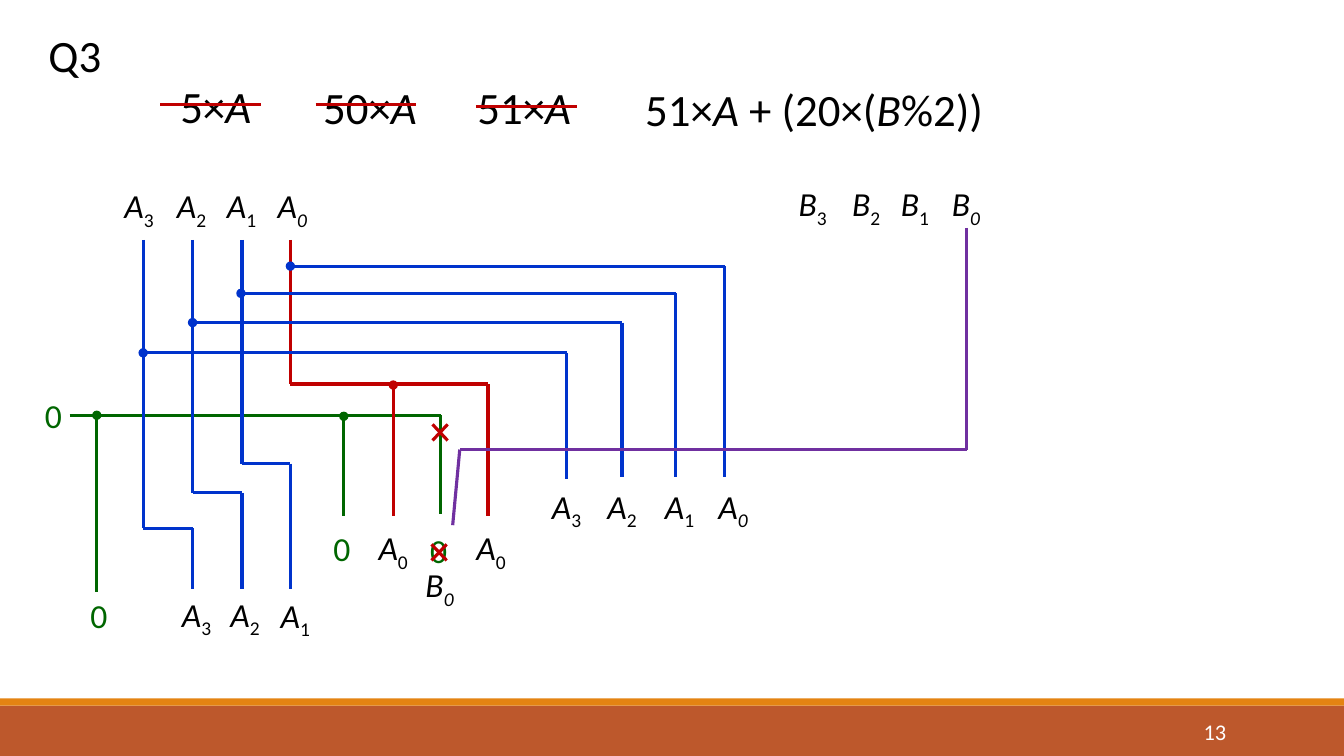
from itertools import pairwise
from lxml import etree
from pptx import Presentation
from pptx.dml.color import RGBColor
from pptx.enum.shapes import MSO_CONNECTOR, MSO_SHAPE
from pptx.enum.text import MSO_ANCHOR, PP_ALIGN
from pptx.oxml.ns import qn
from pptx.util import Inches, Pt

STRAIGHT = MSO_CONNECTOR.STRAIGHT
RECTANGLE = MSO_SHAPE.RECTANGLE
MIDDLE = MSO_ANCHOR.MIDDLE
LEFT, CENTER, RIGHT = PP_ALIGN.LEFT, PP_ALIGN.CENTER, PP_ALIGN.RIGHT

BLACK = RGBColor(0x00, 0x00, 0x00)
WHITE = RGBColor(0xFF, 0xFF, 0xFF)
GREEN = RGBColor(0x00, 0x66, 0x00)
RED = RGBColor(0xC0, 0x00, 0x00)
BLUE = RGBColor(0x00, 0x33, 0xCC)
PURPLE = RGBColor(0x70, 0x30, 0xA0)
RUST = RGBColor(0xBD, 0x58, 0x2C)
ORANGE = RGBColor(0xE4, 0x83, 0x12)
FONT = "Calibri"

presentation = Presentation()
presentation.slide_width = Inches(13.33)
presentation.slide_height = Inches(7.5)
slide = presentation.slides.add_slide(presentation.slide_layouts[5])


def add_label(left, top, width, runs, size=24, color=BLACK, align=CENTER):
    """Add a one-line label; each run is (text, italic, subscript)."""
    height = 0.64 if size == 32 else 0.5
    box = slide.shapes.add_textbox(Inches(left), Inches(top), Inches(width), Inches(height))
    box.text_frame.word_wrap = True
    paragraph = box.text_frame.paragraphs[0]
    paragraph.alignment = align
    for text, italic, subscript in runs:
        run = paragraph.add_run()
        run.text = text
        run.font.name = FONT
        run.font.size = Pt(size)
        run.font.italic = italic
        run.font.color.rgb = color
        if subscript:
            run.font._element.set("baseline", "-25000")
    return box


def add_wire(color, *points, dot=False):
    """Join the points with straight lines, with an optional dot at the first."""
    for index, (start, end) in enumerate(pairwise(points)):
        wire = slide.shapes.add_connector(STRAIGHT, *map(Inches, start + end))
        wire.line.color.rgb = color
        wire.line.width = Pt(2.25)
        if dot and index == 0:
            etree.SubElement(wire.line._get_or_add_ln(), qn("a:headEnd"), type="oval")
        etree.SubElement(wire._element.spPr, qn("a:effectLst"))


# Footer bands and page number
for top, height, color in [(7, 0.5, RUST), (6.93, 0.07, ORANGE)]:
    band = slide.shapes.add_shape(RECTANGLE, 0, Inches(top), Inches(13.33), Inches(height))
    band.shadow.inherit = False
    band.fill.solid()
    band.fill.fore_color.rgb = color
    band.line.fill.background()
page_number = add_label(10.83, 7.06, 1.43, [("13", False, False)], 16, WHITE, RIGHT)
page_number.height = Inches(0.4)
page_number.text_frame.vertical_anchor = MIDDLE

# Title
title = slide.shapes.title
title.left, title.top = Inches(0.38), Inches(0.26)
title.width, title.height = Inches(0.99), Inches(0.63)
title.text_frame.text = "Q3"
title.text_frame.vertical_anchor = MIDDLE
paragraph = title.text_frame.paragraphs[0]
paragraph.alignment = LEFT
paragraph.line_spacing = 0.9
paragraph.runs[0].font.name = FONT
paragraph.runs[0].font.size = Pt(32)
paragraph.runs[0].font.color.rgb = BLACK

# Crossed-out formulas, then the final one
for factor, left, top, strike_left, strike_top in [
    ("5×", 1.4, 0.73, 1.59, 1.04),
    ("50×", 2.93, 0.74, 3.13, 1.04),
    ("51×", 4.46, 0.74, 4.72, 1.06),
]:
    add_label(left, top, 1.48, [(factor, False, False), ("A", True, False)], 32)
    add_wire(RED, (strike_left, strike_top), (strike_left + 1, strike_top))
final_formula = ["51×", "A ", "+ (20×(", "B", "%2)) "]
add_label(6.05, 0.76, 4.15,
          [(text, text.strip() in ("A", "B"), False) for text in final_formula], 32)

# Bit labels: letter, digit, left, top, width, italic digit
for letter, digit, left, top, width, italic_digit in [
    ("A", "3", 1.07, 1.79, 0.62, False),
    ("A", "2", 1.59, 1.79, 0.62, False),
    ("A", "1", 2.05, 1.79, 0.69, False),
    ("A", "0", 2.58, 1.79, 0.64, True),
    ("B", "3", 7.75, 1.77, 0.62, False),
    ("B", "2", 8.28, 1.77, 0.62, False),
    ("B", "1", 8.73, 1.77, 0.69, False),
    ("B", "0", 9.26, 1.77, 0.64, True),
    ("A", "3", 1.62, 5.84, 0.66, False),
    ("A", "2", 2.1, 5.84, 0.66, False),
    ("A", "1", 2.6, 5.85, 0.66, False),
    ("A", "0", 3.57, 5.18, 0.66, False),
    ("A", "0", 4.54, 5.18, 0.66, False),
    ("A", "3", 5.36, 4.77, 0.52, False),
    ("A", "2", 5.91, 4.77, 0.52, False),
    ("A", "1", 6.48, 4.77, 0.52, False),
    ("A", "0", 7.01, 4.77, 0.52, True),
    ("B", "0", 4.04, 5.55, 0.64, True),
]:
    add_label(left, top, width, [(letter, True, False), (digit, italic_digit, True)])

# Constant zeros
for left, top in [(0.27, 3.87), (0.72, 5.85), (3.13, 5.19), (4.09, 5.21)]:
    add_label(left, top, 0.52, [("0", False, False)], color=GREEN)

# Green wires carry zero
add_wire(GREEN, (0.69, 4.12), (4.37, 4.12), (4.37, 5.1))
add_wire(GREEN, (0.96, 4.12), (0.96, 5.87), dot=True)
add_wire(GREEN, (3.41, 4.13), (3.41, 5.12), dot=True)

# Red wires carry A0
add_wire(RED, (2.88, 2.38), (2.88, 3.81), (4.84, 3.81), (4.84, 5.12))
add_wire(RED, (3.9, 3.82), (3.9, 5.12), dot=True)

# Blue wires step A3, A2 and A1 one place to the right
for left, right, step in [(1.42, 1.91, 5.24), (1.91, 2.4, 4.89), (2.4, 2.88, 4.6)]:
    add_wire(BLUE, (left, 2.38), (left, step), (right, step), (right, 5.84))

# Blue branches lead to the right-hand copy of A
for left, right, top, bottom in [
    (2.88, 7.19, 2.64, 4.73),
    (2.39, 6.7, 2.91, 4.73),
    (1.91, 6.17, 3.2, 4.73),
    (1.42, 5.62, 3.5, 4.75),
]:
    add_wire(BLUE, (left, top), (right, top), (right, bottom), dot=True)

# Purple wire brings in B0
add_wire(PURPLE, (9.59, 2.26), (9.59, 4.46), (4.56, 4.46), (4.49, 5.21))

# Red crosses remove the zero that B0 replaces
for left, top in [(4.29, 4.21), (4.28, 5.4)]:
    right, bottom = left + 0.15, top + 0.16
    add_wire(RED, (left, top), (right, bottom))
    add_wire(RED, (left, bottom), (right, top))

presentation.save("out.pptx")
